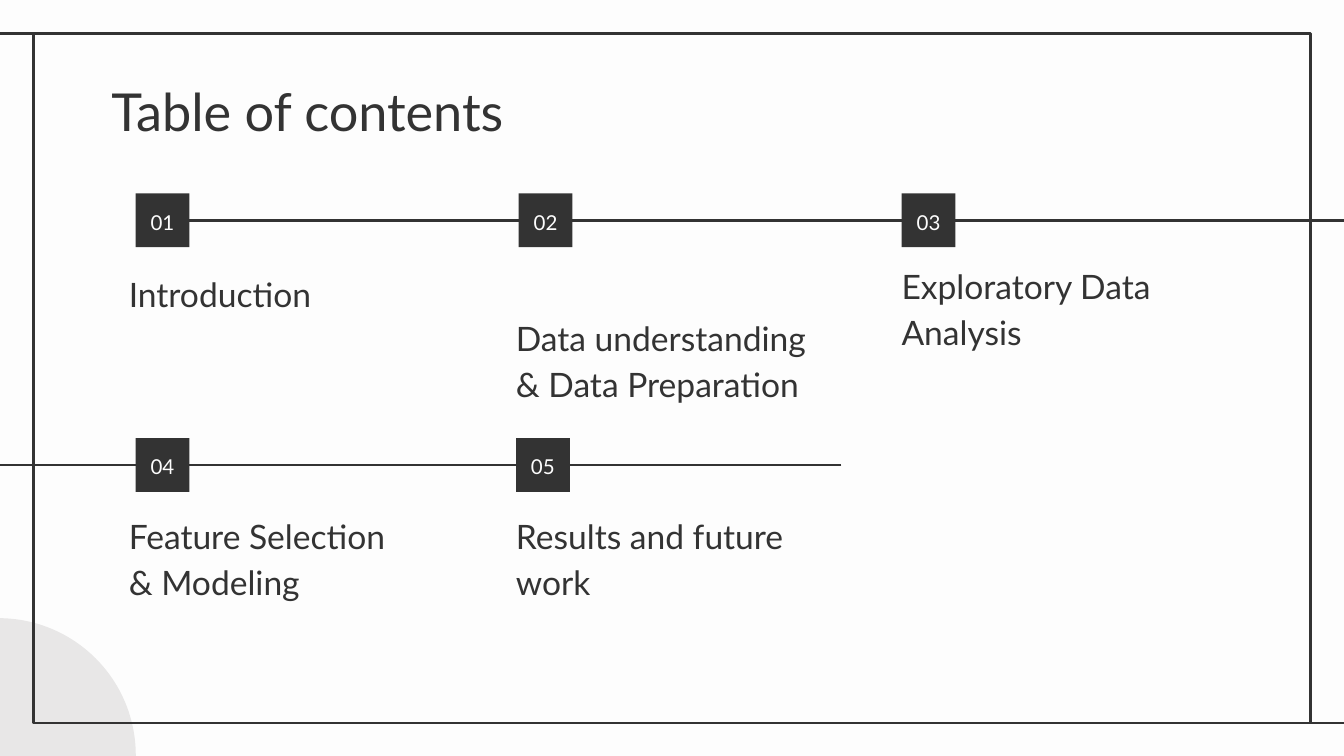
from dataclasses import dataclass

from lxml import etree
from pptx import Presentation, util as u
from pptx.dml.color import RGBColor
from pptx.enum import shapes as sh, text as tx
from pptx.oxml.ns import qn


@dataclass(frozen=True)
class Theme:
    dark: str = "333333"
    pale: str = "FDFDFD"
    grey: str = "E8E7E7"
    font: str = "Lato"
    head: int = 28
    body: int = 18
    num: int = 11
    line: float = 1.5


T = Theme()
WIDE = u.Inches(10)
SIDE = 0.4
RIGHT = 3  # connection site on a tile's right side
ROWS = (1.44, 3.26)

# Number, tile left, tile row
TILES = [
    ("01", 1.01, 0), ("02", 3.86, 0), ("03", 6.71, 0),
    ("04", 1.01, 1), ("05", 3.84, 1),
]

# Topic lines, left, top
TOPICS = [
    (["Introduction"], 0.86, 2.02),
    (["Data understanding & Data Preparation"], 3.74, 2.69),
    (["Exploratory Data Analysis"], 6.61, 2.3),
    (["Feature Selection", "& Modeling"], 0.86, 4.16),
    (["Results and future work"], 3.74, 4.16),
]


def rgb(code):
    return RGBColor.from_string(code)


def apply(obj, vals):
    for key, val in vals.items():
        setattr(obj, key, val)


def write(shape, lines, size, color, frame=None, para=None):
    """Fill a shape with paragraphs of one style."""
    body = shape.text_frame
    sides = ("left", "top", "right", "bottom")
    apply(body, {f"margin_{side}": u.Inches(0.1) for side in sides})
    apply(body, {"word_wrap": True, "auto_size": tx.MSO_AUTO_SIZE.NONE})
    apply(body, frame or {})
    for i, line in enumerate(lines):
        par = body.add_paragraph() if i else body.paragraphs[0]
        apply(par, para or {})
        run = par.add_run()
        run.text = line
        apply(run.font, {"name": T.font, "size": u.Pt(size)})
        run.font.color.rgb = rgb(color)


def add_form(slide, kind, box, fill=None, edge=None):
    form = slide.shapes.add_shape(kind, *map(u.Inches, box))
    form.shadow.inherit = False
    if fill:
        form.fill.solid()
        form.fill.fore_color.rgb = rgb(fill)
    else:
        form.fill.background()
    if edge:
        form.line.color.rgb = rgb(edge)
        form.line.width = u.Pt(T.line)
    else:
        form.line.fill.background()
    return form


def add_line(slide, left, right, y):
    line = slide.shapes.add_connector(
        sh.MSO_CONNECTOR.STRAIGHT, *map(u.Inches, (left, y, right, y)))
    line.line.color.rgb = rgb(T.dark)
    line.line.width = u.Pt(T.line)
    etree.SubElement(line._element.spPr, qn("a:effectLst"))
    return line


def add_text(slide, lines, box, size, **style):
    area = slide.shapes.add_textbox(*map(u.Inches, box))
    write(area, lines, size, T.dark, **style)


def add_tile(slide, num, left, row):
    tile = add_form(slide, sh.MSO_SHAPE.RECTANGLE,
                    (left, ROWS[row], SIDE, SIDE), fill=T.dark)
    write(tile, [num], T.num, T.pale,
          frame={"vertical_anchor": tx.MSO_ANCHOR.MIDDLE},
          para={"alignment": tx.PP_ALIGN.CENTER, "line_spacing": 1.15})
    return tile


def add_decor(slide):
    add_form(slide, sh.MSO_SHAPE.OVAL, (-1.03, 4.6, 2.04, 2.04), fill=T.grey)
    add_form(slide, sh.MSO_SHAPE.RECTANGLE, (0.25, 0.25, 9.5, 5.13),
             edge=T.dark)
    add_line(slide, 0.26, -0.02, 0.25)
    add_line(slide, 10.03, 9.75, 5.38)


def main():
    deck = Presentation()
    apply(deck, {"slide_width": WIDE, "slide_height": WIDE * 9 // 16})
    slide = deck.slides.add_slide(deck.slide_layouts[6])
    slide.background.fill.solid()
    slide.background.fill.fore_color.rgb = rgb(T.pale)

    # Circle and frame
    add_decor(slide)

    # Heading
    add_text(slide, ["Table of contents"], (0.73, 0.49, 8.43, 0.63), T.head)

    # Timelines, with the other tiles on top of them
    mids = [top + SIDE / 2 for top in ROWS]
    add_line(slide, 6.26, -0.18, mids[1])
    first = add_tile(slide, *TILES[0])
    line = add_line(slide, 1.41, 10.17, mids[0])
    line.begin_connect(first, RIGHT)
    for tile in TILES[1:]:
        add_tile(slide, *tile)

    # Topics
    for lines, left, top in TOPICS:
        add_text(slide, lines, (left, top, 2.52, 0.42), T.body,
                 frame={"vertical_anchor": tx.MSO_ANCHOR.BOTTOM},
                 para={"line_spacing": 1.15})

    deck.save("out.pptx")


if __name__ == "__main__":
    main()
